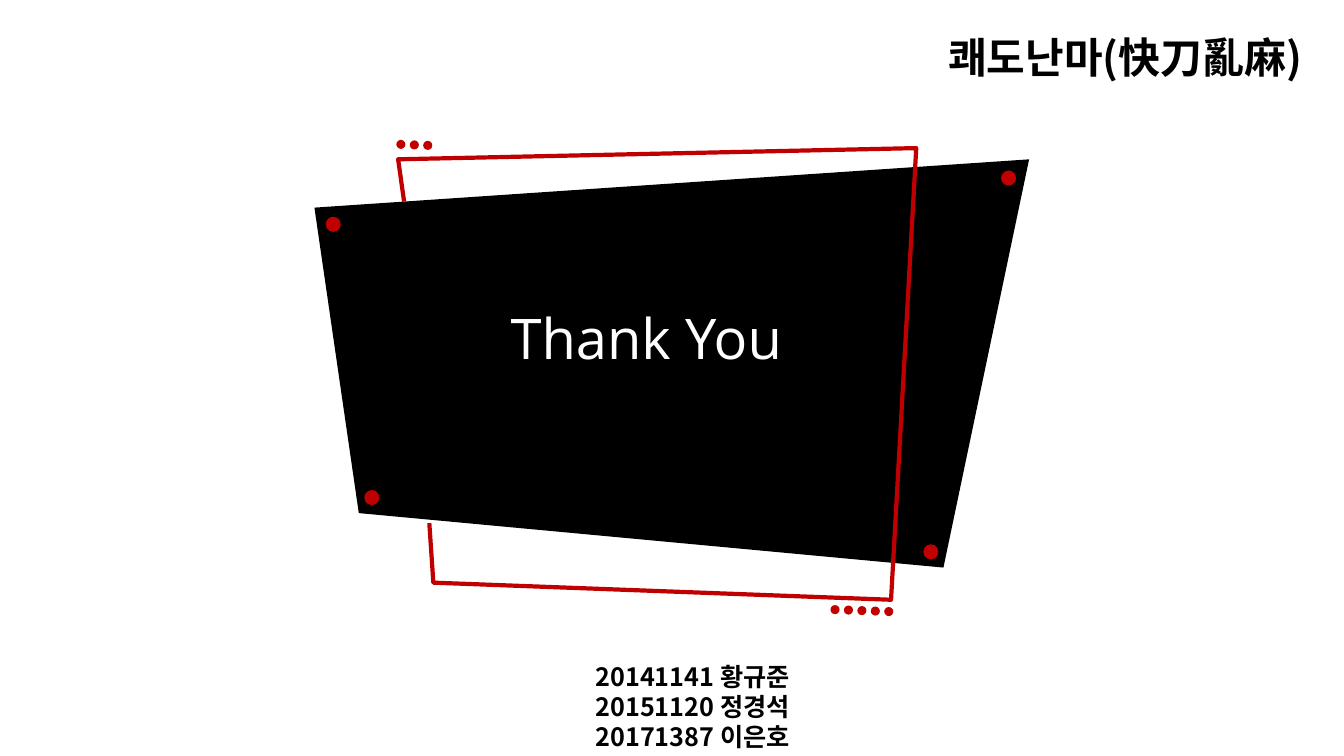
from lxml import etree
from pptx import Presentation
from pptx.dml.color import RGBColor
from pptx.enum.shapes import MSO_SHAPE
from pptx.enum.text import MSO_ANCHOR, MSO_AUTO_SIZE, PP_ALIGN
from pptx.oxml.ns import qn
from pptx.util import Pt

OVAL = MSO_SHAPE.OVAL
TOP = MSO_ANCHOR.TOP
NO_AUTOSIZE = MSO_AUTO_SIZE.NONE
LEFT, CENTER = PP_ALIGN.LEFT, PP_ALIGN.CENTER

BLACK = RGBColor(0x00, 0x00, 0x00)
WHITE = RGBColor(0xFF, 0xFF, 0xFF)
RED = RGBColor(0xC0, 0x00, 0x00)
LATIN_FONT = "Open Sans"
KOREAN_FONT = "Noto Sans CJK KR"

# Content
CLOSING = ["Thank You"]
TEAM_NAME = ["쾌도난마(快刀亂麻)"]
MEMBERS = ["20141141 황규준", "20151120 정경석", "20171387 이은호"]

# Geometry in points
PANEL = [(224.6, 148.3), (256.3, 366.5), (673.9, 405.4), (735.1, 113.8)]
FRAME = [(288.7, 144), (284.4, 113.8), (654.5, 105.8),
         (636.5, 428.4), (309.6, 416.2), (306.7, 373.7)]
CORNER_DOTS = [(232.6, 154.8), (260.2, 350), (659.5, 388.8), (715, 121.8)]
CORNER_SIZE = 10.8
DOT_ROWS = [((283.1, 99.9), 3), ((593.2, 432.2), 5)]  # first dot, count
DOT_SIZE, DOT_STEP_X, DOT_STEP_Y = 6.5, 9.6, 0.35


def add_outline(shapes, points, closed):
    builder = shapes.build_freeform(Pt(points[0][0]), Pt(points[0][1]), scale=1.0)
    builder.add_line_segments([(Pt(x), Pt(y)) for x, y in points[1:]], close=closed)
    shape = builder.convert_to_shape()
    shape.shadow.inherit = False
    return shape


def add_dot(shapes, x, y, size):
    dot = shapes.add_shape(OVAL, Pt(x), Pt(y), Pt(size), Pt(size))
    dot.shadow.inherit = False
    dot.fill.solid()
    dot.fill.fore_color.rgb = RED
    dot.line.fill.background()


def write_text(shape, lines, *, box, size, font, color, bold=False,
               align=LEFT, wrap=True, inset_left=7.2, inset_top=3.6):
    shape.left, shape.top, shape.width, shape.height = (Pt(v) for v in box)
    frame = shape.text_frame
    frame.word_wrap = wrap
    frame.auto_size = NO_AUTOSIZE
    frame.vertical_anchor = TOP
    frame.margin_left, frame.margin_top = Pt(inset_left), Pt(inset_top)
    frame.margin_right, frame.margin_bottom = Pt(7.2), Pt(3.6)
    for index, line in enumerate(lines):
        paragraph = frame.paragraphs[0] if index == 0 else frame.add_paragraph()
        paragraph.alignment = align
        paragraph.line_spacing = 1.0
        paragraph.space_before = Pt(0)
        run = paragraph.add_run()
        run.text = line
        run.font.size, run.font.bold, run.font.name = Pt(size), bold, font
        run.font.color.rgb = color
        # East Asian letters take their own typeface
        properties = run.font._element
        etree.SubElement(properties, qn("a:ea")).set("typeface", font)


def main():
    presentation = Presentation()
    presentation.slide_width, presentation.slide_height = Pt(960), Pt(540)
    slide = presentation.slides.add_slide(presentation.slide_layouts[5])
    title = slide.shapes.title

    # Black panel and red frame
    banner = slide.shapes.add_group_shape().shapes
    panel = add_outline(banner, PANEL, closed=True)
    panel.fill.solid()
    panel.fill.fore_color.rgb = BLACK
    panel.line.fill.background()
    frame = add_outline(banner, FRAME, closed=False)
    frame.fill.background()
    frame.line.color.rgb = RED
    frame.line.width = Pt(3)

    # Corner dots and dot rows
    for x, y in CORNER_DOTS:
        add_dot(banner, x, y, CORNER_SIZE)
    for (x, y), count in DOT_ROWS:
        for step in range(count):
            add_dot(banner, x + step * DOT_STEP_X, y + step * DOT_STEP_Y, DOT_SIZE)

    # Title, brought in front of the panel
    slide.shapes.element.append(title.element)
    write_text(title, CLOSING, box=(132.5, 216.7, 605.5, 106.6), size=40,
               font=LATIN_FONT, color=WHITE, align=CENTER,
               inset_left=60, inset_top=0)

    # Members and team name
    korean = {"font": KOREAN_FONT, "color": BLACK, "bold": True}
    write_text(slide.shapes.add_textbox(0, 0, 0, 0), MEMBERS,
               box=(418.3, 468.7, 158.4, 71.3), size=18, wrap=False, **korean)
    write_text(slide.shapes.add_textbox(0, 0, 0, 0), TEAM_NAME,
               box=(670.3, 18.7, 272.9, 42.5), size=30, **korean)

    presentation.save("out.pptx")


if __name__ == "__main__":
    main()
